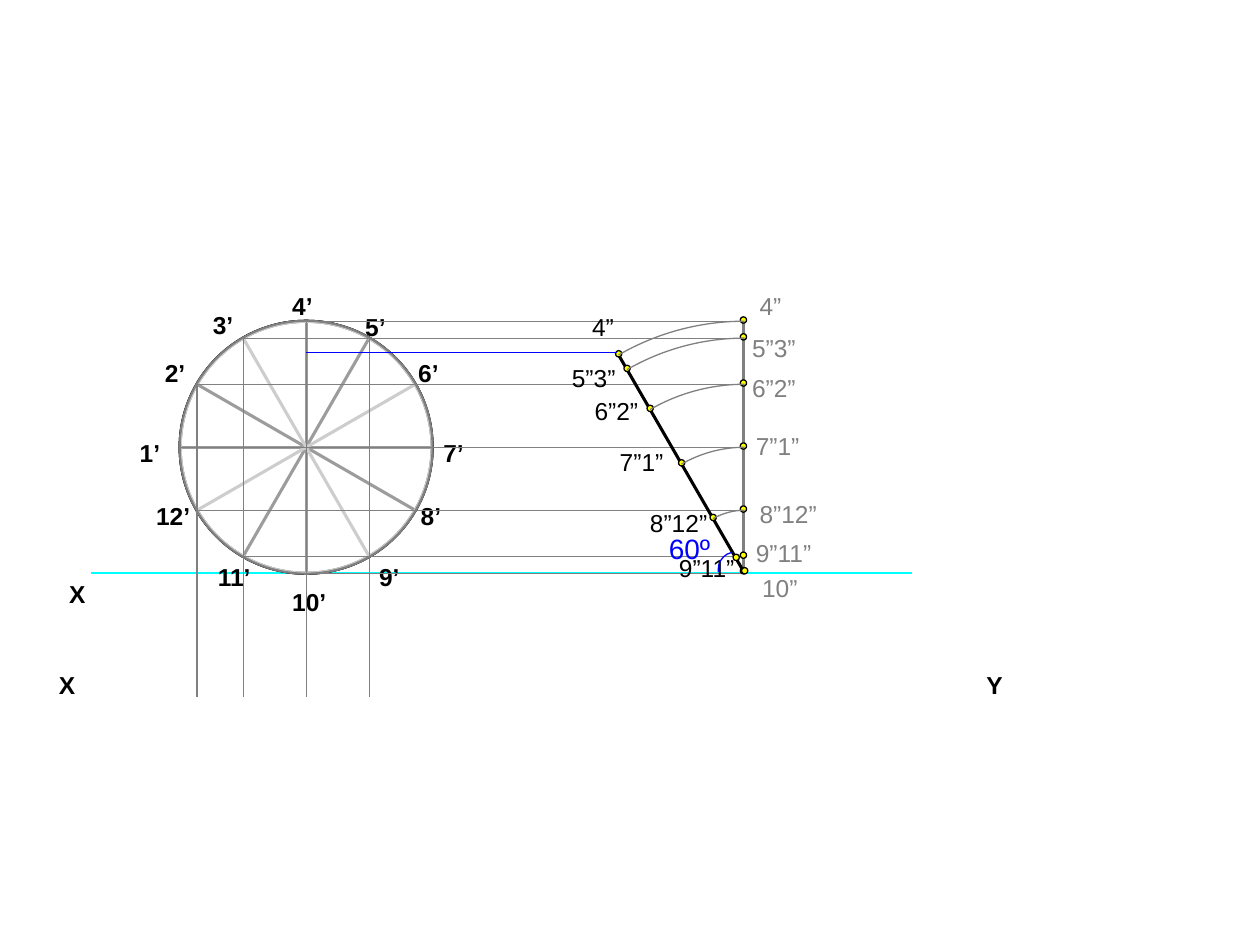
from dataclasses import dataclass
from math import cos, radians, sin

from lxml.etree import SubElement
from pptx import Presentation
from pptx.dml.color import RGBColor
from pptx.enum.shapes import MSO_CONNECTOR, MSO_SHAPE
from pptx.oxml.ns import qn
from pptx.util import Emu, Inches, Pt

COLUMNS, ROWS = 10, 7.5
CELL = Inches(1)
BLACK, GREY, BLUE, CYAN = "000000", "808080", "0000FF", "00FFFF"
YELLOW, WHITE = "FFFF00", "FFFFFF"
THIN, THICK = 0.75, 1.75
CENTRE_X, CENTRE_Y, RADIUS = 2.43, 3.55, 1
GROUND = CENTRE_Y + RADIUS
PROFILE_X = 5.9
PLAN_END = 5.53
TILT = 60
DOT_RADIUS = 0.025


@dataclass
class Label:
    text: str
    column: float
    row: float
    width: float = 0.75


CIRCLE_LABELS = [
    Label("1’", 1.01, 3.43, 0.42), Label("2’", 1.21, 2.79, 0.42),
    Label("3’", 1.59, 2.41, 0.42), Label("4’", 2.22, 2.26, 0.42),
    Label("5’", 2.8, 2.43, 0.42), Label("6’", 3.22, 2.79, 0.42),
    Label("7’", 3.42, 3.43, 0.42), Label("8’", 3.24, 3.93, 0.42),
    Label("9’", 2.91, 4.41, 0.42), Label("10’", 2.22, 4.61, 0.58),
    Label("11’", 1.63, 4.41, 0.58), Label("12’", 1.14, 3.93, 0.58),
]
AXIS_LABELS = [
    Label("X", 0.37, 5.27, 0.46), Label("Y", 7.73, 5.27, 0.3), Label("X", 0.45, 4.55, 0.46),
]
UPRIGHT_LABELS = [
    Label("4”", 5.93, 2.26, 0.48), Label("9”11”", 5.9, 4.22), Label("10”", 5.95, 4.5, 0.62),
    Label("8”12”", 5.93, 3.91), Label("7”1”", 5.9, 3.37),
    Label("6”2”", 5.87, 2.91), Label("5”3”", 5.87, 2.59),
]
TILTED_LABELS = [
    Label("4”", 4.6, 2.43, 0.48), Label("9”11”", 5.29, 4.34), Label("8”12”", 5.06, 3.98),
    Label("7”1”", 4.82, 3.5), Label("6”2”", 4.62, 3.09), Label("5”3”", 4.44, 2.83),
]


def grid(cells: float) -> Emu:
    return Emu(round(cells * CELL))


def colour(hex_text: str) -> RGBColor:
    return RGBColor.from_string(hex_text)


def draw_line(slide, start: tuple, end: tuple, line: str = GREY, width: float = THIN) -> None:
    connector = slide.shapes.add_connector(
        MSO_CONNECTOR.STRAIGHT, *(grid(value) for value in (*start, *end)))
    connector.line.color.rgb = colour(line)
    connector.line.width = Pt(width)
    SubElement(connector._element.spPr, qn("a:effectLst"))


def draw_round(slide, kind, centre: tuple, radius: float, line: str,
               width: float = THIN, fill: str = ""):
    column, row = centre
    shape = slide.shapes.add_shape(
        kind, grid(column - radius), grid(row - radius), grid(2 * radius), grid(2 * radius))
    shape.shadow.inherit = False
    shape.line.color.rgb = colour(line)
    shape.line.width = Pt(width)
    if fill:
        shape.fill.solid()
        shape.fill.fore_color.rgb = colour(fill)
    else:
        shape.fill.background()
    return shape


def draw_dot(slide, column: float, row: float) -> None:
    draw_round(slide, MSO_SHAPE.OVAL, (column, row), DOT_RADIUS, BLACK, fill=YELLOW)


def draw_arc(slide, centre: tuple, radius: float, start: float, end: float, line: str) -> None:
    arc = draw_round(slide, MSO_SHAPE.ARC, centre, radius, line)
    for index, degrees in enumerate((start, end)):
        arc.adjustments[index] = degrees * 60000 / 100000


def draw_label(slide, label: Label, ink: str = BLACK, bold: bool = False, size: int = 14) -> None:
    box = slide.shapes.add_textbox(
        grid(label.column), grid(label.row), grid(label.width), grid(0.34))
    box.text_frame.word_wrap = True
    box.text_frame.text = label.text
    font = box.text_frame.paragraphs[0].runs[0].font
    font.name = "Arial"
    font.size = Pt(size)
    font.bold = bold
    font.color.rgb = colour(ink)


def draw_circle(slide) -> None:
    centre = (CENTRE_X, CENTRE_Y)
    for rotation, line in ((0, BLACK), (30, BLACK), (60, GREY)):
        wheel = draw_round(slide, MSO_SHAPE.FLOWCHART_OR, centre, RADIUS, line, THICK)
        wheel.rotation = rotation
    veil = draw_round(slide, MSO_SHAPE.OVAL, centre, RADIUS, GREY, fill=WHITE)
    tint = veil.fill._xPr.find(qn("a:solidFill"))[0]
    SubElement(tint, qn("a:alpha")).set("val", "61000")
    for label in CIRCLE_LABELS:
        draw_label(slide, label, bold=True)


def draw_projections(slide, heights: list) -> None:
    for angle in (150, 120, 90, 60):
        column = CENTRE_X + RADIUS * cos(radians(angle))
        top = CENTRE_Y - RADIUS * sin(radians(angle))
        draw_line(slide, (column, top), (column, PLAN_END))
    for angle, height in zip(range(90, 271, 30), heights):
        row = GROUND - height
        draw_line(slide, (CENTRE_X + RADIUS * cos(radians(angle)), row), (PROFILE_X, row))


def draw_profiles(slide, heights: list) -> None:
    hinge_x = PROFILE_X + 0.01
    tilt_x, tilt_y = cos(radians(TILT)), sin(radians(TILT))
    draw_line(slide, (PROFILE_X, GROUND - 2 * RADIUS), (PROFILE_X, GROUND), width=THICK)
    for height in heights:
        draw_dot(slide, PROFILE_X, GROUND - 0.01 - max(height, 0.01))
    for label in UPRIGHT_LABELS:
        draw_label(slide, label, GREY)
    draw_line(slide, (hinge_x - 2 * tilt_x, GROUND - 2 * tilt_y), (hinge_x, GROUND), BLACK, THICK)
    for height in heights:
        draw_dot(slide, hinge_x - height * tilt_x, GROUND - 0.01 - max(height * tilt_y, 0.01))
    for label in TILTED_LABELS:
        draw_label(slide, label)
    draw_arc(slide, (5.84, 4.52), 0.14, 172, 258, BLUE)
    draw_label(slide, Label("60º", 5.21, 4.17, 0.6), BLUE, size=16)
    for height in heights[:5]:
        draw_arc(slide, (hinge_x, GROUND), height, 180 + TILT, 270, GREY)
    draw_line(slide, (4.9, 2.8), (CENTRE_X, 2.8), BLUE)


def main() -> None:
    presentation = Presentation()
    presentation.slide_width, presentation.slide_height = grid(COLUMNS), grid(ROWS)
    slide = presentation.slides.add_slide(presentation.slide_layouts[6])
    heights = [RADIUS + RADIUS * sin(radians(angle)) for angle in range(90, -91, -30)]
    draw_line(slide, (0.72, GROUND), (7.24, GROUND), CYAN, 1)
    for label in AXIS_LABELS:
        draw_label(slide, label, bold=True)
    draw_circle(slide)
    draw_projections(slide, heights)
    draw_profiles(slide, heights)
    presentation.save("out.pptx")


if __name__ == "__main__":
    main()
